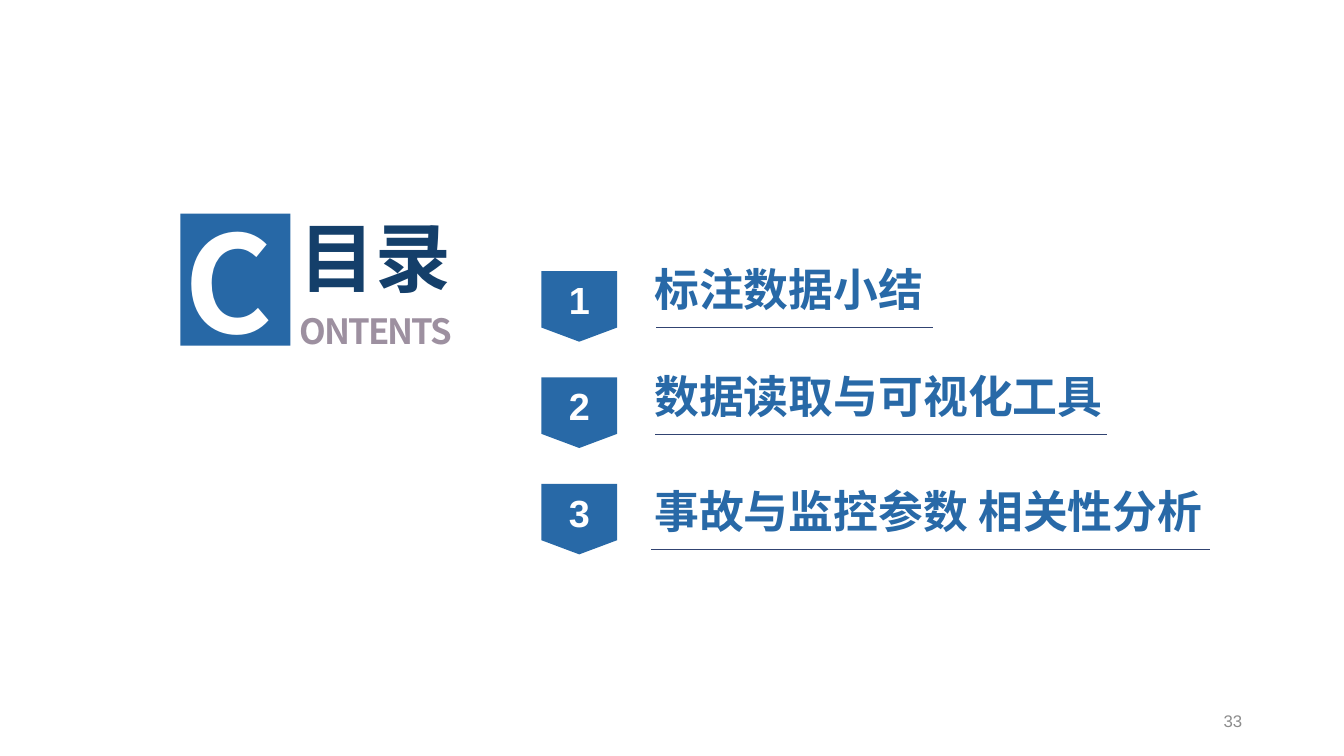
from lxml import etree
from pptx import Presentation
from pptx.dml.color import RGBColor
from pptx.enum.shapes import MSO_CONNECTOR, MSO_SHAPE
from pptx.enum.text import MSO_ANCHOR, MSO_AUTO_SIZE, PP_ALIGN
from pptx.oxml.ns import qn
from pptx.util import Inches, Pt

LEFT, CENTER, RIGHT = PP_ALIGN.LEFT, PP_ALIGN.CENTER, PP_ALIGN.RIGHT
TOP, MIDDLE = MSO_ANCHOR.TOP, MSO_ANCHOR.MIDDLE
BADGE, RECT = MSO_SHAPE.FLOWCHART_OFFPAGE_CONNECTOR, MSO_SHAPE.RECTANGLE
STRAIGHT = MSO_CONNECTOR.STRAIGHT
NO_FIT = MSO_AUTO_SIZE.NONE

COLORS = {
    "block": "2768A6", "blue": "2869A7", "navy": "143F6A",
    "mauve": "9D90A0", "rule": "314371", "gray": "8C8C8C", "white": "FFFFFF",
}
CJK = "Noto Sans CJK SC"

# Text, text top, rule start, rule end, rule height
TOPICS = [
    ("标注数据小结", 2.55, 6.51, 9.25, 3.25),
    ("数据读取与可视化工具", 3.61, 6.5, 10.98, 4.31),
    ("事故与监控参数 相关性分析", 4.75, 6.46, 12, 5.45),
]
BADGE_TOP, PITCH = 2.69, 1.055


def color(name):
    return RGBColor.from_string(COLORS[name])


def write(shape, text, size, tint, face="Arial", bold=True, align=LEFT,
          anchor=TOP, inset=(0.1, 0.05), track=0):
    frame = shape.text_frame
    side, edge = map(Inches, inset)
    form = {"word_wrap": True, "auto_size": NO_FIT, "vertical_anchor": anchor,
            "margin_left": side, "margin_right": side,
            "margin_top": edge, "margin_bottom": edge}
    for key, value in form.items():
        setattr(frame, key, value)
    para = frame.paragraphs[0]
    para.alignment = align
    run = para.add_run()
    run.text = text
    for key, value in {"name": face, "size": Pt(size), "bold": bold}.items():
        setattr(run.font, key, value)
    run.font.color.rgb = color(tint)
    # East Asian face and letter spacing
    props = run._r.get_or_add_rPr()
    etree.SubElement(props, qn("a:ea")).set("typeface", CJK)
    if track:
        props.set("spc", str(round(track * 100)))


def add_text(slide, box, text, size, tint, **form):
    shape = slide.shapes.add_textbox(*map(Inches, box))
    write(shape, text, size, tint, **form)


def add_block(slide, kind, box, tint):
    shape = slide.shapes.add_shape(kind, *map(Inches, box))
    shape.shadow.inherit = False
    shape.fill.solid()
    shape.fill.fore_color.rgb = color(tint)
    shape.line.fill.background()
    return shape


def add_rule(slide, start, end, y):
    rule = slide.shapes.add_connector(
        STRAIGHT, Inches(start), Inches(y), Inches(end), Inches(y))
    rule.line.color.rgb = color("rule")
    rule.line.width = Pt(1)
    etree.SubElement(rule._element.spPr, qn("a:effectLst"))


def add_title(slide):
    title = slide.shapes.title
    box = {"left": 2.85, "top": 2.04, "width": 1.74, "height": 1.01}
    for key, value in box.items():
        setattr(title, key, Inches(value))
    write(title, "目录", 54, "navy", face=CJK, align=CENTER)


def add_head(slide):
    form = {"face": CJK, "inset": (0.12, 0.06), "track": -1.4}
    add_text(slide, (2.85, 3.01, 2.25, 0.54), "ONTENTS", 24.8, "mauve", **form)
    add_block(slide, RECT, (1.79, 2.12, 1.09, 1.31), "block")
    add_text(slide, (1.71, 1.92, 2.25, 1.73), "C", 96, "white", **form)


def add_topic(slide, index, text, top, start, end, y):
    box = (5.37, BADGE_TOP + index * PITCH, 0.75, 0.7)
    badge = add_block(slide, BADGE, box, "blue")
    write(badge, str(index + 1), 27, "white", align=CENTER, anchor=MIDDLE)
    add_rule(slide, start, end, y)
    add_text(slide, (6.39, top, 6.18, 0.64), text, 32, "blue")


def main():
    deck = Presentation()
    deck.slide_width, deck.slide_height = Inches(13.33), Inches(7.5)
    slide = deck.slides.add_slide(deck.slide_layouts[5])

    # Heading
    add_title(slide)
    add_head(slide)

    # Topics
    for index, topic in enumerate(TOPICS):
        add_topic(slide, index, *topic)

    # Page number
    add_text(slide, (9.42, 6.95, 3, 0.4), "33", 12, "gray", bold=False,
             align=RIGHT, anchor=MIDDLE)
    deck.save("out.pptx")


if __name__ == "__main__":
    main()
